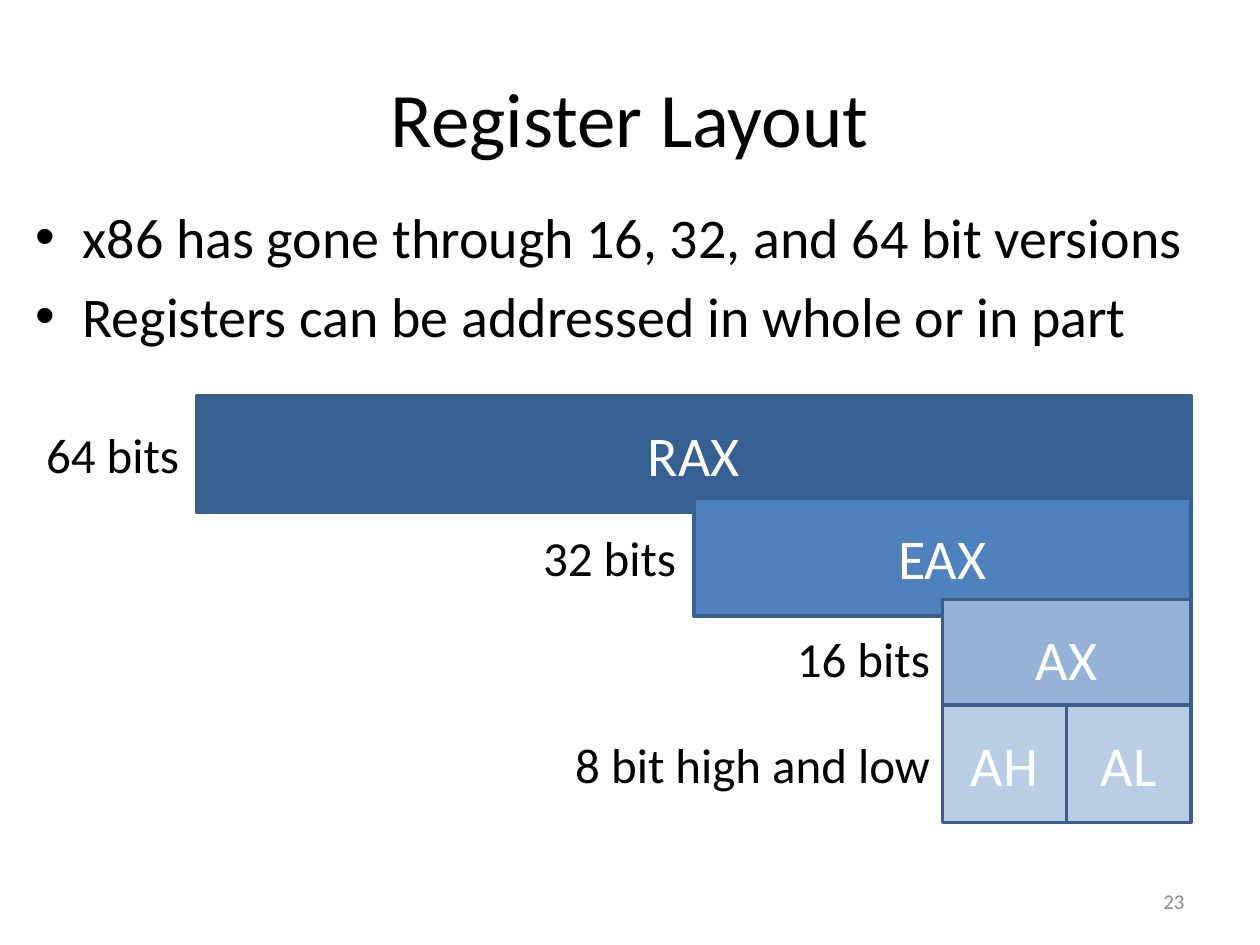
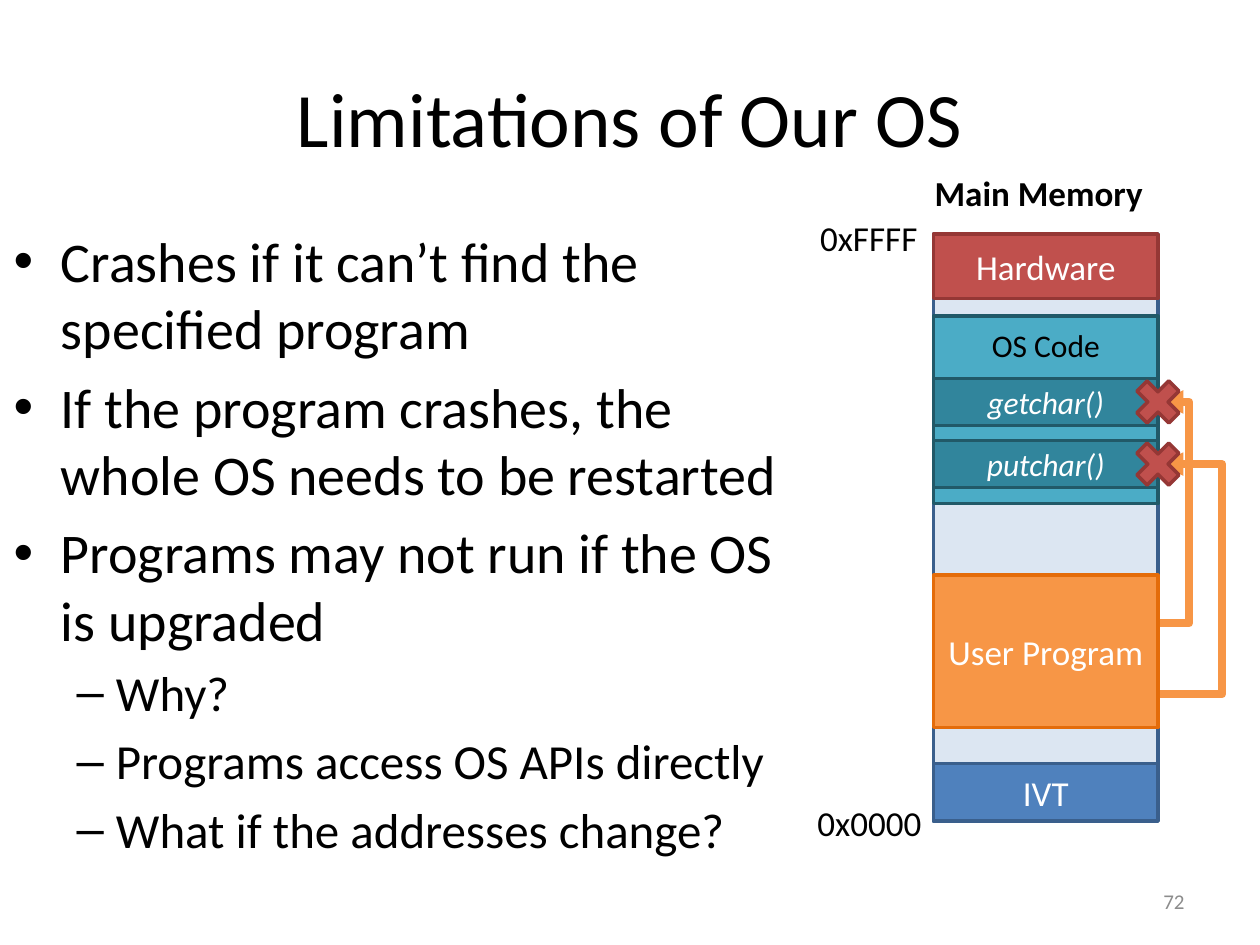
from lxml.etree import SubElement
from pptx import Presentation
from pptx.dml.color import RGBColor as Rgb
from pptx.enum.shapes import MSO_CONNECTOR as Link, MSO_SHAPE as Kind
from pptx.enum.text import MSO_ANCHOR as Anchor, PP_ALIGN as Align
from pptx.oxml.ns import qn
from pptx.util import Pt

FONT = "Calibri"
BLACK, WHITE, GRAY = "000000", "FFFFFF", "8C8C8C"
NAVY, BLUE, SKY, PALE, MIST = "376092", "4F81BD", "95B3D7", "B9CDE5", "DCE6F2"
EDGE = "3A5F8C"
RED, WINE = "C0504D", "953735"
TEAL, DEEP, PINE = "4BACC6", "31859C", "215968"
ORANGE, RUST = "F79646", "E46C0A"
BULLETS = [("•", 32, 27, 27), ("–", 28, 58.5, 22.5)]


def color(text):
    return Rgb.from_string(text)


def style(para, size, tint, align=Align.LEFT, bold=False, italic=False):
    font = para.font
    font.name, font.size = FONT, Pt(size)
    font.bold, font.italic = bold, italic
    font.color.rgb = color(tint)
    para.alignment = align


def add_text(slide, box, text, size, tint=BLACK, align=Align.LEFT,
             anchor=Anchor.TOP, wrap=False, bold=False):
    frame = slide.shapes.add_textbox(*map(Pt, box)).text_frame
    frame.word_wrap = wrap
    frame.vertical_anchor = anchor
    frame.text = text
    style(frame.paragraphs[0], size, tint, align, bold)


def add_block(slide, box, fill, edge, text="", size=20, italic=False,
              kind=Kind.RECTANGLE):
    shape = slide.shapes.add_shape(kind, *map(Pt, box))
    shape.shadow.inherit = False
    shape.fill.solid()
    shape.fill.fore_color.rgb = color(fill)
    shape.line.color.rgb = color(edge)
    shape.line.width = Pt(2)
    if text:
        frame = shape.text_frame
        frame.text = text
        frame.vertical_anchor = Anchor.MIDDLE
        style(frame.paragraphs[0], size, WHITE, Align.CENTER, italic=italic)


def add_list(slide, box, items):
    frame = slide.shapes.add_textbox(*map(Pt, box)).text_frame
    frame.word_wrap = True
    for i, (level, text) in enumerate(items):
        para = frame.add_paragraph() if i else frame.paragraphs[0]
        mark, size, left, hang = BULLETS[level]
        para.text, para.level = text, level
        style(para, size, BLACK)
        para.space_before = Pt(size * 0.2)
        props = para._p.get_or_add_pPr()
        props.set("marL", str(Pt(left)))
        props.set("indent", str(-Pt(hang)))
        SubElement(props, qn("a:buFont")).set("typeface", "Arial")
        SubElement(props, qn("a:buChar")).set("char", mark)


def add_call(slide, x, start, end, reach):
    link = slide.shapes.add_connector(
        Link.ELBOW, Pt(x), Pt(start), Pt(x + 1), Pt(end))
    link.line.color.rgb = color(ORANGE)
    link.line.width = Pt(4.5)
    props = link._element.spPr
    guide = SubElement(props.find(qn("a:prstGeom")).find(qn("a:avLst")), qn("a:gd"))
    guide.set("name", "adj1")
    guide.set("fmla", f"val {reach * 100000}")
    SubElement(props.find(qn("a:ln")), qn("a:tailEnd")).set("type", "triangle")
    SubElement(props, qn("a:effectLst"))


def add_page(deck, title, number):
    slide = deck.slides.add_slide(deck.slide_layouts[6])
    add_text(slide, (36, 21.6, 648, 90), title, 44, align=Align.CENTER,
             anchor=Anchor.MIDDLE, wrap=True)
    add_text(slide, (516, 500.4, 168, 28.8), number, 12, GRAY, Align.RIGHT,
             Anchor.MIDDLE, wrap=True)
    return slide


def draw_regs(slide, box):
    left, top, width, height = box
    tall, right = 67, left + width
    rows = [
        (0, 1, [("RAX", NAVY)], "64 bits", 92, 3),
        (59, 2, [("EAX", BLUE)], "32 bits", 92, 3),
        (116.5, 4, [("AX", SKY)], "16 bits", 92, 0),
        (height - tall, 4, [("AH", PALE), ("AL", PALE)],
         "8 bit high and low", 236, 0),
    ]
    for drop, part, names, label, span, gap in rows:
        x, y = right - width / part, top + drop
        cell = width / part / len(names)
        for i, (name, fill) in enumerate(names):
            add_block(slide, (x + i * cell, y, cell, tall), fill, EDGE, name, 32)
        add_text(slide, (x - gap - span, y + 13, span, 41), label, 28,
                 align=Align.RIGHT)


def draw_memory(slide, box):
    left, top, width, height = box
    right = left + width

    def band(drop, tall, *look, **more):
        add_block(slide, (left, top + drop, width, tall), *look, **more)

    band(0, height, MIST, EDGE)
    band(height - 33, 33, BLUE, EDGE, "IVT")
    add_text(slide, (left - 73.5, top + height - 14.5, 74, 31.5), "0x0000", 20)
    add_text(slide, (left - 72, top - 13.5, 71, 31.5), "0xFFFF", 20)
    add_text(slide, (left - 6.5, top - 39, 135, 31.5), "Main Memory", 20, bold=True)
    band(0, 37, RED, WINE, "Hardware")
    band(47, 107, TEAL, PINE)
    add_text(slide, (left, top + 49, width, 29), "OS Code", 18, align=Align.CENTER)
    calls = [("getchar()", 82.5, 222.5, 18), ("putchar()", 118, 263, 37)]
    for name, drop, start, reach in calls:
        band(drop, 27, DEEP, PINE, name, 18, italic=True)
    for name, drop, start, reach in calls:
        add_call(slide, right, top + start, top + drop + 13.5, reach)
    band(195, 87, ORANGE, RUST, "User Program")
    for name, drop, start, reach in calls:
        add_block(slide, (right - 17.5, top + drop - 4, 35, 35), RED, WINE,
                  kind=Kind.MATH_MULTIPLY)


def build_regs(deck):
    slide = add_page(deck, "Register Layout", "23")
    add_list(slide, (13, 112.3, 688, 127), [
        (0, "x86 has gone through 16, 32, and 64 bit versions"),
        (0, "Registers can be addressed in whole or in part"),
    ])
    draw_regs(slide, (112.5, 226, 568, 244))


def build_limits(deck):
    slide = add_page(deck, "Limitations of Our OS", "72")
    add_list(slide, (0.7, 126, 465, 356), [
        (0, "Crashes if it can’t find the specified program"),
        (0, "If the program crashes, the whole OS needs to be restarted"),
        (0, "Programs may not run if the OS is upgraded"),
        (1, "Why?"),
        (1, "Programs access OS APIs directly"),
        (1, "What if the addresses change?"),
    ])
    draw_memory(slide, (533.5, 133.7, 128.2, 335.5))


def main():
    deck = Presentation()
    deck.slide_width, deck.slide_height = Pt(720), Pt(540)
    build_regs(deck)
    build_limits(deck)
    deck.save("out.pptx")


if __name__ == "__main__":
    main()
